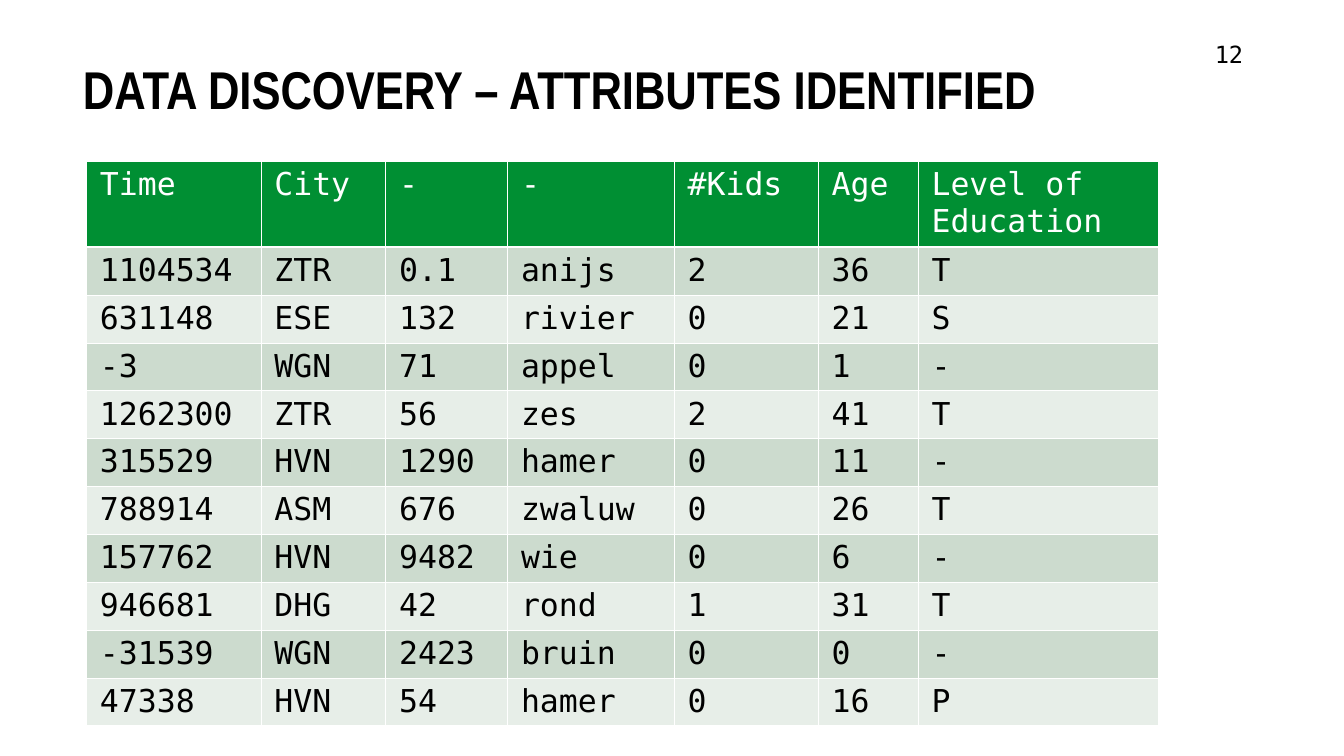
from dataclasses import dataclass

from lxml.etree import SubElement
from pptx import Presentation
from pptx.dml.color import RGBColor as RGB
from pptx.enum.text import MSO_ANCHOR as Anchor
from pptx.oxml.ns import qn
from pptx.util import Cm, Pt

HEADERS = ["Time", "City", "-", "-", "#Kids", "Age", "Level of Education"]
RECORDS = [
    ["1104534", "ZTR", "0.1", "anijs", "2", "36", "T"],
    ["631148", "ESE", "132", "rivier", "0", "21", "S"],
    ["-3", "WGN", "71", "appel", "0", "1", "-"],
    ["1262300", "ZTR", "56", "zes", "2", "41", "T"],
    ["315529", "HVN", "1290", "hamer", "0", "11", "-"],
    ["788914", "ASM", "676", "zwaluw", "0", "26", "T"],
    ["157762", "HVN", "9482", "wie", "0", "6", "-"],
    ["946681", "DHG", "42", "rond", "1", "31", "T"],
    ["-31539", "WGN", "2423", "bruin", "0", "0", "-"],
    ["47338", "HVN", "54", "hamer", "0", "16", "P"],
]
COLUMN_WIDTHS = [6.25, 4.47, 4.37, 5.97, 5.16, 3.58, 8.61]
HEADER_HEIGHT, RECORD_HEIGHT = 3.05, 1.7


@dataclass(frozen=True)
class Theme:
    title_font: str = "Arial Narrow"
    body_font: str = "DejaVu Sans Mono"
    title_size: int = 54
    number_size: int = 24
    table_size: int = 32
    ink: str = "000000"
    paper: str = "FFFFFF"
    header: str = "008F33"
    bands: tuple = ("CCDBCE", "E7EEE8")


class SlideBuilder:
    def __init__(self, s, theme):
        self.s, self.theme = s, theme

    def add_run(self, tf, text, font, size, color, bold=False, spacing=1.0):
        p = tf.paragraphs[0]
        p.line_spacing = spacing
        r = p.add_run()
        r.text = text
        for name, value in {"name": font, "size": Pt(size), "bold": bold}.items():
            setattr(r.font, name, value)
        r.font.color.rgb = RGB.from_string(color)

    def add_text(self, text, box, font, size, **style):
        sp = self.s.shapes.add_textbox(*map(Cm, box))
        tf = sp.text_frame
        tf.word_wrap = True
        tf.vertical_anchor = Anchor.TOP
        self.add_run(tf, text, font, size, self.theme.ink, **style)

    def add_borders(self, cell, widths):
        tc_pr = cell._tc.get_or_add_tcPr()
        for side, width in widths.items():
            line = SubElement(tc_pr, qn(f"a:ln{side}"), w=str(Pt(width)))
            fill = SubElement(line, qn("a:solidFill"))
            SubElement(fill, qn("a:srgbClr"), val=self.theme.paper)

    def fill_cell(self, cell, text, fill, color, bottom):
        margins = {"margin_left": 0.48, "margin_right": 0.48,
                   "margin_top": 0.18, "margin_bottom": 0.18}
        for name, value in margins.items():
            setattr(cell, name, Cm(value))
        self.add_borders(cell, {"L": 1, "R": 1, "T": 1, "B": bottom})
        cell.fill.solid()
        cell.fill.fore_color.rgb = RGB.from_string(fill)
        self.add_run(cell.text_frame, text, self.theme.body_font,
                     self.theme.table_size, color)

    def add_table(self, left, top, widths, heights, rows):
        box = (left, top, sum(widths), sum(heights))
        table = self.s.shapes.add_table(
            len(rows), len(widths), *map(Cm, box)).table
        table.horz_banding = False
        for column, width in zip(table.columns, widths):
            column.width = Cm(width)
        for i, (row, height) in enumerate(zip(table.rows, heights)):
            row.height = Cm(height)
            if i == 0:
                look = (self.theme.header, self.theme.paper, 3)
            else:
                look = (self.theme.bands[(i - 1) % 2], self.theme.ink, 1)
            for cell, text in zip(row.cells, rows[i]):
                self.fill_cell(cell, text, *look)


def main():
    prs = Presentation()
    prs.slide_width, prs.slide_height = Cm(48.16), Cm(27.1)
    theme = Theme()
    slide = SlideBuilder(prs.slides.add_slide(prs.slide_layouts[6]), theme)
    slide.add_text("DATA DISCOVERY – ATTRIBUTES IDENTIFIED", (2.72, 2.34, 35.79, 3.73),
                   theme.title_font, theme.title_size, bold=True, spacing=0.8)
    slide.add_text("12", (43.28, 1.32, 4.88, 1.98), theme.body_font, theme.number_size)
    heights = [HEADER_HEIGHT] + [RECORD_HEIGHT] * len(RECORDS)
    slide.add_table(3.1, 5.79, COLUMN_WIDTHS, heights, [HEADERS] + RECORDS)
    prs.save("out.pptx")


if __name__ == "__main__":
    main()
